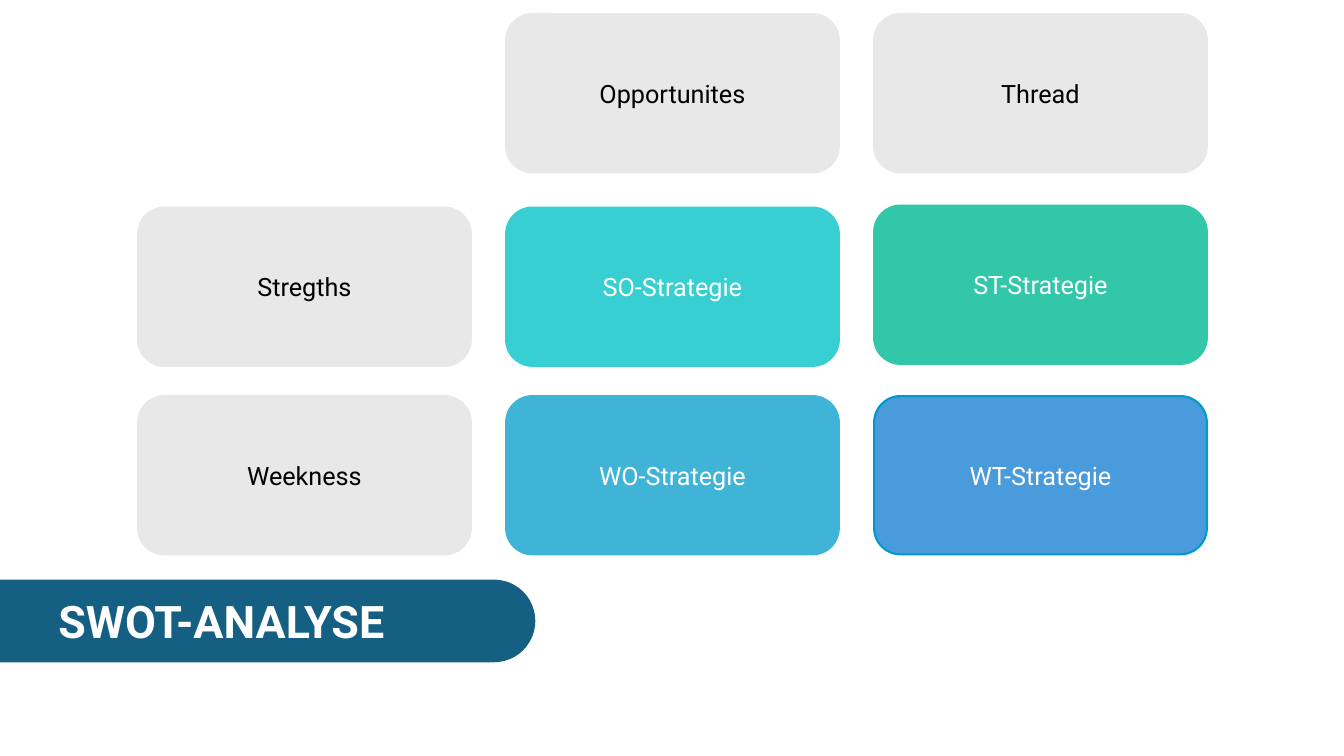
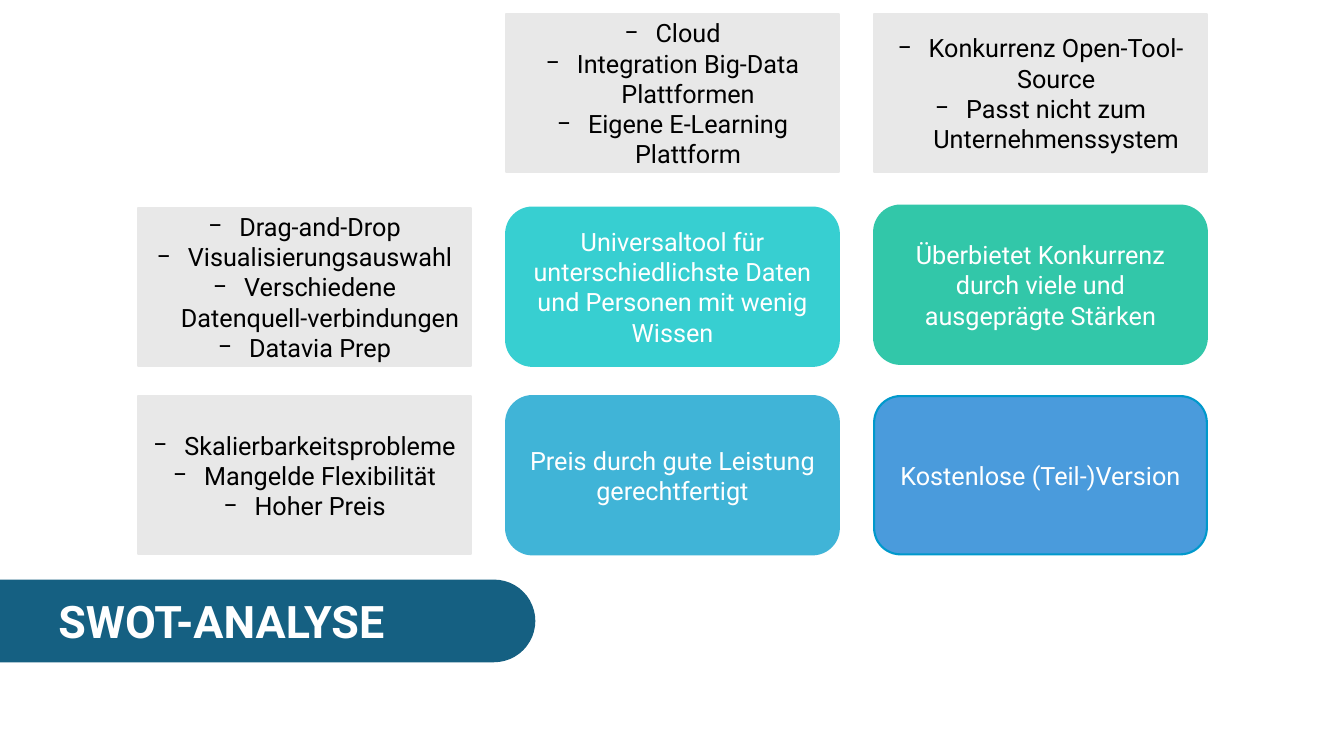
from lxml import etree
from pptx import Presentation
from pptx import util as u
from pptx.dml.color import RGBColor
from pptx.enum import shapes, text
from pptx.oxml.ns import qn

FONT = "Roboto"
WHITE, BLACK, GREY, NAVY = "FFFFFF", "000000", "E8E8E8", "156082"
COLUMNS = [1.37 + 3.65 * column for column in range(3)]
ROWS = [0.14, 2.06, 3.93]
CARD_SIZE = (3.3, 1.57)
FACTOR_CELLS = {
    "opportunities": (COLUMNS[1], ROWS[0]),
    "threats": (COLUMNS[2], ROWS[0]),
    "strengths": (COLUMNS[0], ROWS[1]),
    "weaknesses": (COLUMNS[0], ROWS[2]),
}
STRATEGY_CELLS = {
    "SO": (COLUMNS[1], ROWS[1], "37CFD1", "37CFD1"),
    "ST": (COLUMNS[2], ROWS[1] - 0.02, "32C7A9", "32C7A9"),
    "WO": (COLUMNS[1], ROWS[2], "40B4D7", "40B4D7"),
    "WT": (COLUMNS[2], ROWS[2], "4A9BDC", "0099CC"),
}
OVERVIEW = {
    "opportunities": "Opportunites",
    "threats": "Thread",
    "strengths": "Stregths",
    "weaknesses": "Weekness",
    "SO": "SO-Strategie",
    "ST": "ST-Strategie",
    "WO": "WO-Strategie",
    "WT": "WT-Strategie",
}
DETAILS = {
    "opportunities": ["Cloud", "Integration Big-Data Plattformen", "Eigene E-Learning Plattform"],
    "threats": ["Konkurrenz Open-Tool-Source", "Passt nicht zum Unternehmenssystem"],
    "strengths": ["Drag-and-Drop", "Visualisierungsauswahl",
                  "Verschiedene Datenquell-verbindungen", "Datavia Prep"],
    "weaknesses": ["Skalierbarkeitsprobleme", "Mangelde Flexibilität", "Hoher Preis"],
    "SO": "Universaltool für unterschiedlichste Daten und Personen mit wenig Wissen",
    "ST": "Überbietet Konkurrenz durch viele und ausgeprägte Stärken",
    "WO": "Preis durch gute Leistung gerechtfertigt",
    "WT": "Kostenlose (Teil-)Version",
}


def rgb(code):
    return RGBColor.from_string(code)


class SwotDeck:
    """Holds the deck style and the slide being built."""

    def __init__(self):
        self.deck = Presentation()
        self.deck.slide_width = u.Inches(13.33)
        self.deck.slide_height = u.Inches(7.5)
        self.slide = None

    def new_slide(self):
        self.slide = self.deck.slides.add_slide(self.deck.slide_layouts[6])

    def panel(self, left, top, width, height, fill, outline=None, corner=None):
        panel = self.slide.shapes.add_shape(
            shapes.MSO_SHAPE.ROUNDED_RECTANGLE,
            *(u.Inches(length) for length in (left, top, width, height)))
        panel.shadow.inherit = False
        panel.fill.solid()
        panel.fill.fore_color.rgb = rgb(fill)
        if outline:
            panel.line.color.rgb = rgb(outline)
            panel.line.width = u.Pt(1.5)
        else:
            panel.line.fill.background()
        if corner is not None:
            panel.adjustments[0] = corner
        panel.text_frame.word_wrap = True
        panel.text_frame.vertical_anchor = text.MSO_ANCHOR.MIDDLE
        return panel

    def label(self, paragraph, words, color, size=18, bold=False, align=text.PP_ALIGN.CENTER):
        paragraph.alignment = align
        run = paragraph.add_run()
        run.text = words
        run.font.name = FONT
        run.font.size = u.Pt(size)
        run.font.bold = bold
        run.font.color.rgb = rgb(color)

    def dash(self, paragraph):
        properties = paragraph._p.get_or_add_pPr()
        indent = u.Inches(0.31)
        properties.set("marL", str(indent))
        properties.set("indent", str(-indent))
        etree.SubElement(properties, qn("a:buFont")).set("typeface", FONT)
        etree.SubElement(properties, qn("a:buChar")).set("char", "−")

    def title(self, words):
        band = self.panel(-0.52, 5.75, 5.83, 0.82, NAVY, corner=0.5)
        band.text_frame.margin_left = u.Inches(0.98)
        self.label(band.text_frame.paragraphs[0], words, WHITE, 32, True, text.PP_ALIGN.LEFT)

    def card(self, left, top, words, fill, outline, color):
        card = self.panel(left, top, *CARD_SIZE, fill, outline)
        self.label(card.text_frame.paragraphs[0], words, color)

    def list_card(self, left, top, points):
        card = self.panel(left, top, *CARD_SIZE, GREY, GREY, corner=0)
        frame = card.text_frame
        for index, point in enumerate(points):
            paragraph = frame.add_paragraph() if index else frame.paragraphs[0]
            self.label(paragraph, point, BLACK)
            self.dash(paragraph)

    def matrix(self, content):
        self.new_slide()
        self.title("SWOT-ANALYSE")
        for strategy, (left, top, fill, outline) in STRATEGY_CELLS.items():
            self.card(left, top, content[strategy], fill, outline, WHITE)
        for factor, (left, top) in FACTOR_CELLS.items():
            if isinstance(content[factor], list):
                self.list_card(left, top, content[factor])
            else:
                self.card(left, top, content[factor], GREY, GREY, BLACK)


def main():
    swot = SwotDeck()
    for content in (OVERVIEW, DETAILS):
        swot.matrix(content)
    swot.deck.save("out.pptx")


if __name__ == "__main__":
    main()
